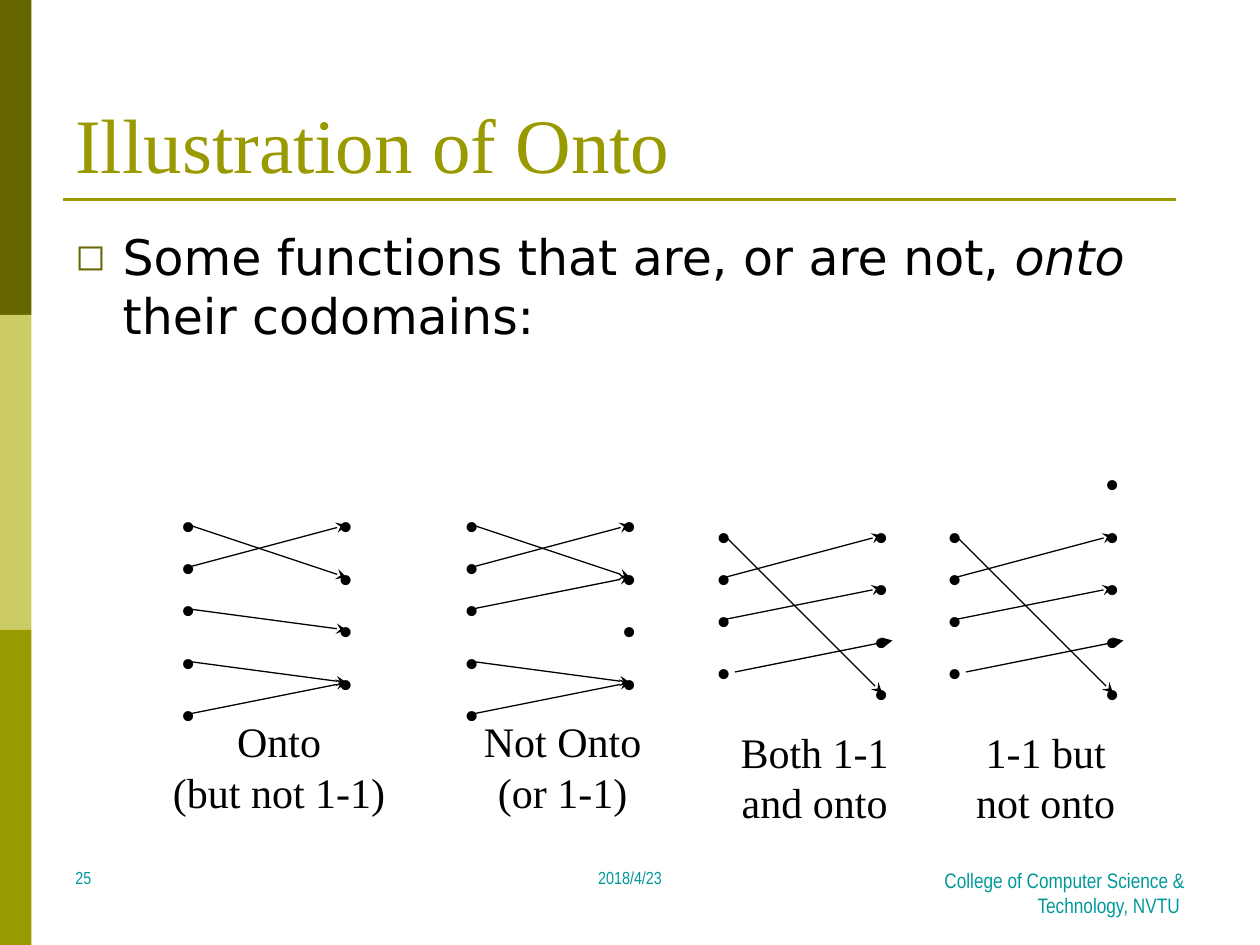
from pptx import Presentation, util as u
from pptx.dml.color import RGBColor
from pptx.enum import shapes, text
from pptx.oxml import ns, xmlchemy as xml

Pt = u.Pt
OLIVE, DARK, PALE, TEAL, BLACK = "999900", "666600", "CCCC66", "009999", "000000"
SERIF, SANS, SLIM = "Times New Roman", "DejaVu Sans", "Arial Narrow"
LEFT, CENTER, RIGHT = text.PP_ALIGN.LEFT, text.PP_ALIGN.CENTER, text.PP_ALIGN.RIGHT
TOP, MID, BASE = text.MSO_ANCHOR.TOP, text.MSO_ANCHOR.MIDDLE, text.MSO_ANCHOR.BOTTOM


def hue(code):
    return RGBColor.from_string(code)


def add(parent, tag, **attrs):
    node = xml.OxmlElement(tag)
    for key, val in attrs.items():
        node.set(key, str(val))
    parent.append(node)
    return node


def write(par, words, size=24, font=SERIF, color=BLACK, slant=False):
    for row, line in enumerate(words.split("\n")):
        if row:
            par.add_line_break()
        run = par.add_run()
        run.text = line
        run.font.size = Pt(size)
        run.font.name = font
        run.font.italic = slant
        run.font.color.rgb = hue(color)


class Deck:
    """Holds the slide and draws each kind of element on it, in points."""

    def __init__(self, wide, high):
        self.file = Presentation()
        self.file.slide_width, self.file.slide_height = Pt(wide), Pt(high)
        self.slide = self.file.slides.add_slide(self.file.slide_layouts[6])
        self.items = self.slide.shapes

    def bar(self, x, y, w, h, color):
        shape = self.items.add_shape(shapes.MSO_SHAPE.RECTANGLE, Pt(x), Pt(y), Pt(w), Pt(h))
        shape.shadow.inherit = False
        shape.fill.solid()
        shape.fill.fore_color.rgb = hue(color)
        shape.line.fill.background()

    def line(self, x1, y1, x2, y2, color=BLACK, width=0.75, arrow=False):
        link = self.items.add_connector(
            shapes.MSO_CONNECTOR.STRAIGHT, Pt(x1), Pt(y1), Pt(x2), Pt(y2))
        link.line.color.rgb = hue(color)
        link.line.width = Pt(width)
        if arrow:
            add(link.line._get_or_add_ln(), "a:tailEnd", type="stealth")
        add(link._element.spPr, "a:effectLst")

    def box(self, x, y, w, h, align=LEFT, anchor=TOP, wrap=True, lead=0):
        frame = self.items.add_textbox(Pt(x), Pt(y), Pt(w), Pt(h)).text_frame
        frame.word_wrap = wrap
        frame.vertical_anchor = anchor
        if not wrap:
            frame.auto_size = text.MSO_AUTO_SIZE.SHAPE_TO_FIT_TEXT
        par = frame.paragraphs[0]
        par.alignment = align
        if lead:
            gap = add(par._p.get_or_add_pPr(), "a:spcBef")
            add(gap, "a:spcPct", val=lead * 1000)
        return par

    def label(self, x, y, w, h, words):
        write(self.box(x, y, w, h, CENTER, MID, wrap=False, lead=50), words)

    def bullet(self, par, mark, color, scale, indent):
        props = par._p.get_or_add_pPr()
        props.set("marL", str(Pt(indent)))
        props.set("indent", str(-Pt(indent)))
        add(add(props, "a:buClr"), "a:srgbClr", val=color)
        add(props, "a:buSzPct", val=scale * 1000)
        add(props, "a:buFont", typeface=SANS)
        add(props, "a:buChar", char=mark)

    def graph(self, x, y, title, starts, ends, pairs):
        self.label(x - 4.5, y + 123.5, 136, 64.8, title)
        for side, drops in ((x, starts), (x + 90, ends)):
            for drop in drops:
                self.label(side, y + drop, 23, 36, "•")
        for start, end, shift in pairs:
            left = x + 12 + shift
            self.line(left, y + 18 + starts[start], left + 90, y + 18 + ends[end], arrow=True)


def main():
    deck = Deck(720, 540)
    for row, color in enumerate((DARK, PALE, OLIVE)):
        deck.bar(0, row * 180, 18, 180, color)
    deck.line(36, 114, 672, 114, OLIVE, 1.5)

    write(deck.box(36, 21.6, 648, 90, anchor=BASE), "Illustration of Onto", 44, color=OLIVE)
    body = deck.box(36, 126, 648, 356.4, lead=20)
    deck.bullet(body, "◻", DARK, 75, 27)
    for words, slant in (("Some functions that are, or are not, ", False),
                         ("onto", True), (" their codomains:", False)):
        write(body, words, 28, SANS, slant=slant)

    for x, w, align, size, words in (
            (36, 168, LEFT, 10, "25"),
            (246, 228, CENTER, 10, "2018/4/23"),
            (516, 168, RIGHT, 12, "College of Computer Science & Technology, NVTU ")):
        write(deck.box(x, 492, w, 36, align), words, size, SLIM, TEAL)

    four = (0, 24, 48, 78)
    five = four + (108,)
    ends = (0, 30, 60, 90)
    single = ((1, 0, 0), (2, 1, 0), (0, 3, 0), (3, 2, 6))
    shared = ((0, 1, 0), (1, 0, 0), (3, 3, 0), (4, 3, 0))
    deck.graph(96, 282, "Onto\n(but not 1-1)", five, ends, shared + ((2, 2, 0),))
    deck.graph(258, 282, "Not Onto\n(or 1-1)", five, ends, shared + ((2, 1, 0),))
    deck.graph(402, 288, "Both 1-1\nand onto", four, ends, single)
    deck.graph(534, 288, "1-1 but\nnot onto", four, ends + (-30,), single)

    deck.file.save("out.pptx")


if __name__ == "__main__":
    main()
